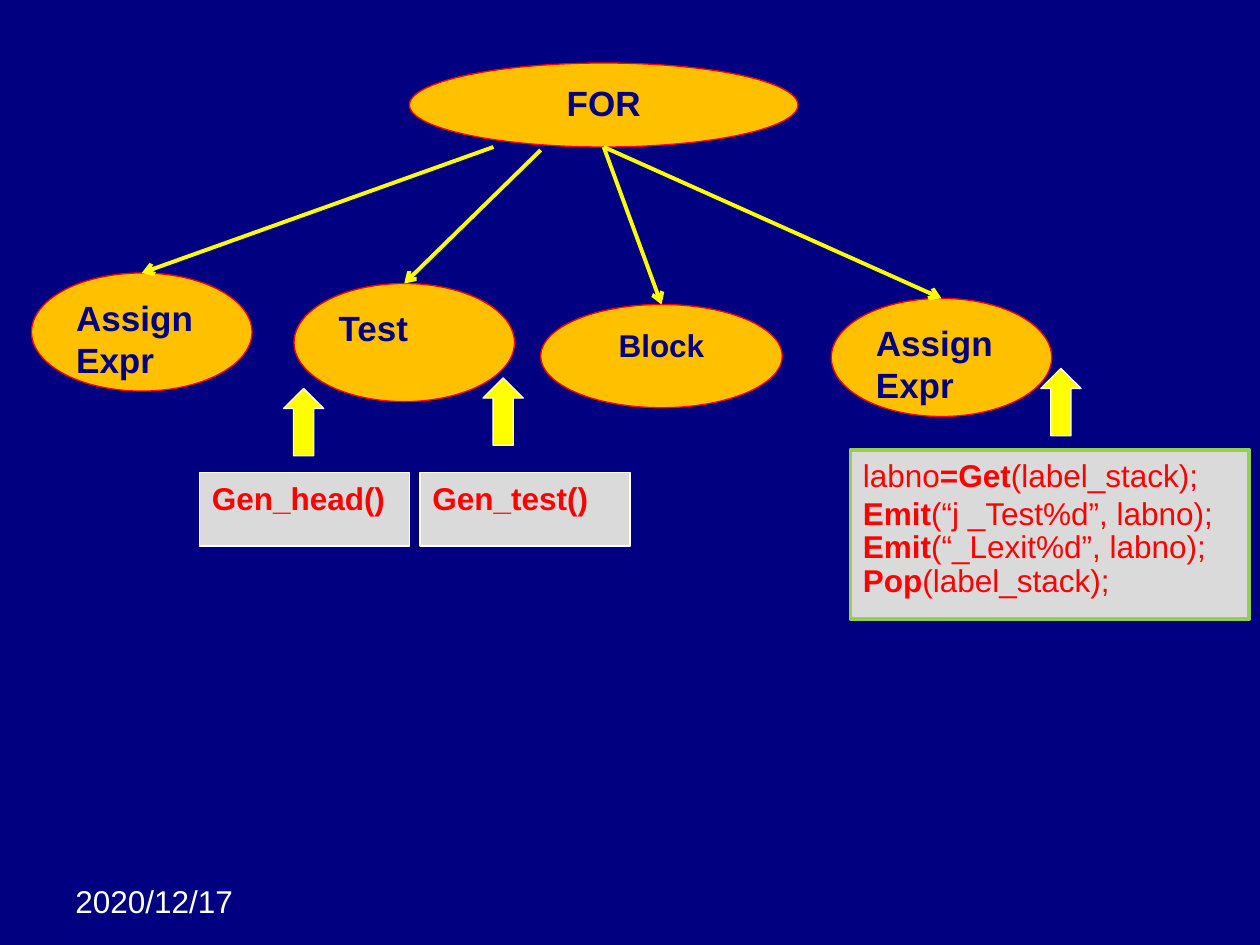
from dataclasses import dataclass
from typing import Optional

import lxml.etree
import pptx
import pptx.dml.color
import pptx.enum.shapes
import pptx.enum.text
import pptx.oxml.ns
import pptx.util

Pt = pptx.util.Pt
Kind = pptx.enum.shapes.MSO_SHAPE
Align = pptx.enum.text.PP_ALIGN


@dataclass(frozen=True)
class Theme:
    background: str = "000080"
    node: str = "FFC000"
    node_line: str = "FF0000"
    node_text: str = "000080"
    arrow: str = "FFFF00"
    panel: str = "DADADA"
    panel_line: str = "92D050"
    code: str = "FF0000"
    white: str = "FFFFFF"
    font: str = "Arial"
    large: float = 20
    normal: float = 18
    thin: float = 0.75
    thick: float = 2.25


THEME = Theme()


@dataclass(frozen=True)
class Box:
    left: float
    top: float
    width: float
    height: float


@dataclass(frozen=True)
class Node:
    box: Box
    lines: tuple[str, ...]
    size: float = THEME.large
    align: Align = Align.LEFT


@dataclass(frozen=True)
class Edge:
    start: tuple[float, float]
    end: tuple[float, float]


@dataclass(frozen=True)
class Action:
    """A box of generated code; each line is a list of (text, bold) spans."""
    box: Box
    lines: tuple
    line_color: str = THEME.white
    line_width: float = THEME.thin
    last_spacing: Optional[float] = None


NODES = [
    Node(Box(234, 36, 222, 48), ("FOR",), align=Align.CENTER),
    Node(Box(18, 156, 126, 67.5), ("Assign", "Expr")),
    Node(Box(168, 162, 126, 67.5), ("Test",)),
    Node(Box(309, 174, 138, 59), ("Block",), THEME.normal, Align.CENTER),
    Node(Box(475, 170.5, 126, 67.5), ("Assign", "Expr")),
]

EDGES = [
    Edge((282, 84), (81, 156)),
    Edge((309, 85.75), (231, 162)),
    Edge((345, 84), (378, 174)),
    Edge((345, 84), (538, 170.5)),
]

# Left and top of the arrows that point from the code to the tree
MARKERS = [(162, 222), (276, 216), (594.75, 210.5)]

ACTIONS = [
    Action(Box(114, 270, 120, 42), ([("Gen_head()", True)],)),
    Action(Box(240, 270, 120, 42), ([("Gen_test()", True)],)),
    Action(
        Box(486, 257, 228, 96.75),
        (
            [("labno", False), ("=Get", True), ("(label_stack);", False)],
            [("Emit", True), ("(“j _Test%d”, labno);", False)],
            [("Emit", True), ("(“_Lexit%d”, labno); ", False),
             ("Pop", True), ("(label_stack);", False)],
        ),
        THEME.panel_line, THEME.thick, 0.9,
    ),
]


def rgb(value: str) -> pptx.dml.color.RGBColor:
    return pptx.dml.color.RGBColor.from_string(value)


def write(shape, lines, *, size: float, color: str,
          align: Align = Align.LEFT, last_spacing: Optional[float] = None) -> None:
    """Fill a shape with paragraphs made of (text, bold) spans."""
    frame = shape.text_frame
    frame.word_wrap = True
    frame.vertical_anchor = pptx.enum.text.MSO_ANCHOR.TOP
    for index, line in enumerate(lines):
        para = frame.add_paragraph() if index else frame.paragraphs[0]
        para.alignment = align
        for text, bold in line:
            span = para.add_run()
            span.text = text
            span.font.name = THEME.font
            span.font.size = Pt(size)
            span.font.bold = bold
            span.font.color.rgb = rgb(color)
    if last_spacing:
        para.line_spacing = last_spacing


def add_box(page, kind: Kind, box: Box, fill: str, line: str, width: float = THEME.thin):
    shape = page.shapes.add_shape(
        kind, Pt(box.left), Pt(box.top), Pt(box.width), Pt(box.height))
    shape.shadow.inherit = False
    shape.fill.solid()
    shape.fill.fore_color.rgb = rgb(fill)
    shape.line.color.rgb = rgb(line)
    shape.line.width = Pt(width)
    return shape


def add_node(page, node: Node) -> None:
    shape = add_box(page, Kind.OVAL, node.box, THEME.node, THEME.node_line)
    write(shape, [[(text, True)] for text in node.lines],
          size=node.size, color=THEME.node_text, align=node.align)


def add_edge(page, edge: Edge) -> None:
    line = page.shapes.add_connector(
        pptx.enum.shapes.MSO_CONNECTOR.STRAIGHT,
        *(Pt(value) for value in edge.start + edge.end))
    line.line.color.rgb = rgb(THEME.arrow)
    line.line.width = Pt(THEME.thick)
    qn = pptx.oxml.ns.qn
    lxml.etree.SubElement(line.line._get_or_add_ln(), qn("a:tailEnd"), type="arrow")
    lxml.etree.SubElement(line._element.spPr, qn("a:effectLst"))


def add_action(page, action: Action) -> None:
    shape = add_box(page, Kind.RECTANGLE, action.box, THEME.panel,
                    action.line_color, action.line_width)
    write(shape, action.lines, size=THEME.normal, color=THEME.code,
          last_spacing=action.last_spacing)


def main() -> None:
    deck = pptx.Presentation()
    deck.slide_width, deck.slide_height = Pt(720), Pt(540)
    page = deck.slides.add_slide(deck.slide_layouts[6])
    page.background.fill.solid()
    page.background.fill.fore_color.rgb = rgb(THEME.background)

    # Date
    date = page.shapes.add_textbox(Pt(36), Pt(500.5), Pt(114), Pt(29))
    write(date, [[("2020/12/17", False)]], size=THEME.normal, color=THEME.white)

    # Syntax tree
    for node in NODES:
        add_node(page, node)
    for edge in EDGES:
        add_edge(page, edge)

    # Code generation steps and where they happen
    for left, top in MARKERS:
        add_box(page, Kind.UP_ARROW, Box(left, top, 23, 38.5), THEME.arrow, THEME.white)
    for action in ACTIONS:
        add_action(page, action)

    deck.save("out.pptx")


if __name__ == "__main__":
    main()
